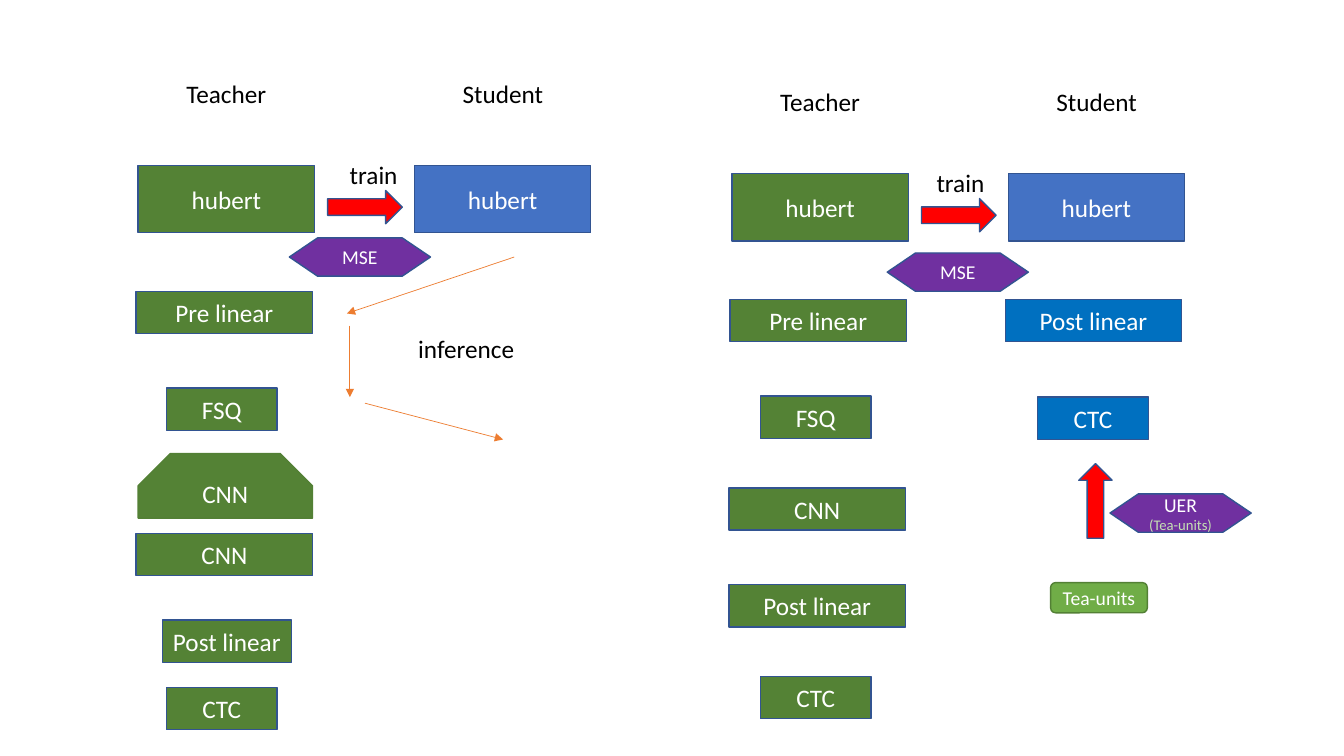
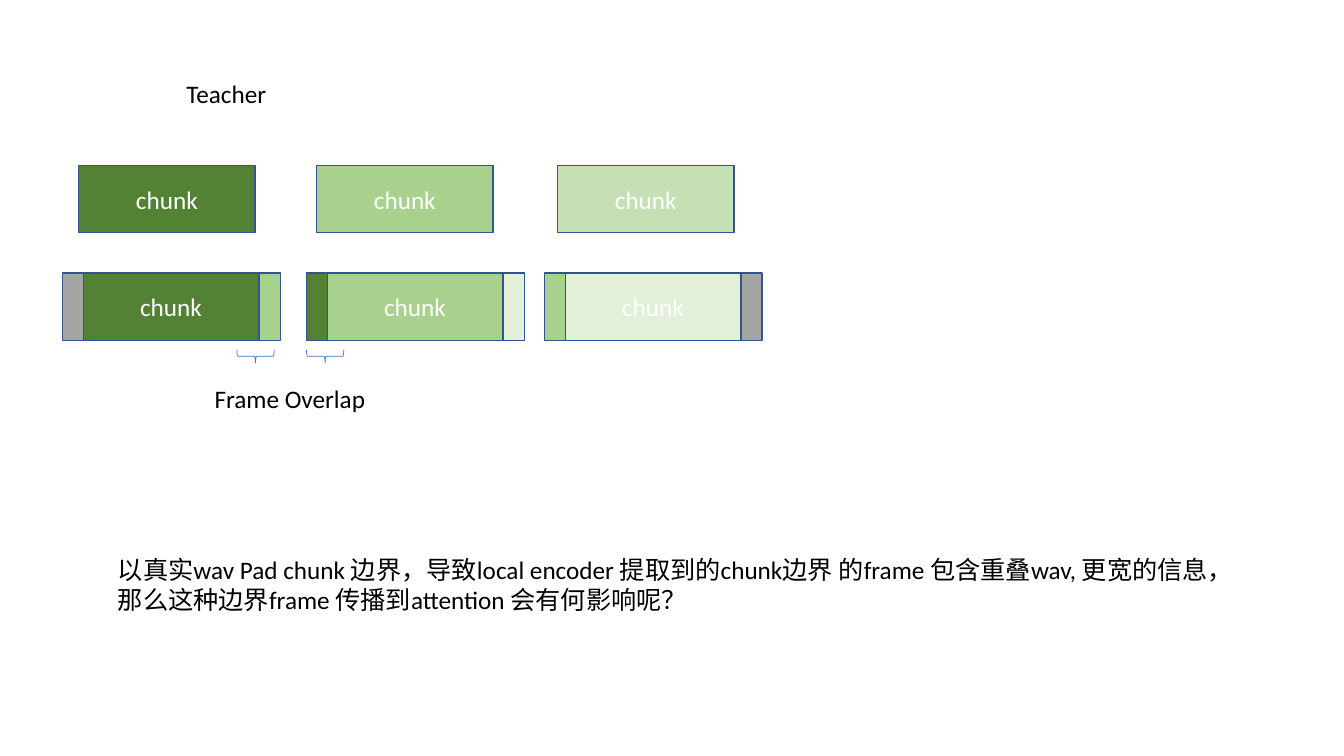
from pptx import Presentation
from pptx.dml.color import RGBColor
from pptx.enum.shapes import MSO_CONNECTOR, MSO_SHAPE
from pptx.enum.text import MSO_ANCHOR, PP_ALIGN
from pptx.oxml.ns import qn
from pptx.oxml.xmlchemy import OxmlElement
from pptx.util import Inches, Pt

RECTANGLE = MSO_SHAPE.RECTANGLE
ROUNDED = MSO_SHAPE.ROUNDED_RECTANGLE
SNIPPED = MSO_SHAPE.SNIP_2_SAME_RECTANGLE
HEXAGON = MSO_SHAPE.FLOWCHART_PREPARATION
RIGHT_ARROW = MSO_SHAPE.RIGHT_ARROW
UP_ARROW = MSO_SHAPE.UP_ARROW
BRACE = MSO_SHAPE.LEFT_BRACE
STRAIGHT = MSO_CONNECTOR.STRAIGHT
CENTER = PP_ALIGN.CENTER
MIDDLE = MSO_ANCHOR.MIDDLE

WHITE = RGBColor(0xFF, 0xFF, 0xFF)
BLACK = RGBColor(0x00, 0x00, 0x00)
DARK_GREEN = RGBColor(0x54, 0x82, 0x35)
GREEN = RGBColor(0x70, 0xAD, 0x47)
GREEN_EDGE = RGBColor(0x53, 0x80, 0x35)
MID_GREEN = RGBColor(0xA9, 0xD1, 0x8E)
LIGHT_GREEN = RGBColor(0xC5, 0xE0, 0xB4)
PALE_GREEN = RGBColor(0xE2, 0xF0, 0xD9)
BLUE = RGBColor(0x44, 0x72, 0xC4)
BRIGHT_BLUE = RGBColor(0x00, 0x70, 0xC0)
BLUE_EDGE = RGBColor(0x32, 0x54, 0x91)
PURPLE = RGBColor(0x70, 0x30, 0xA0)
RED = RGBColor(0xFF, 0x00, 0x00)
ORANGE = RGBColor(0xED, 0x7D, 0x31)
GRAY = RGBColor(0xA5, 0xA5, 0xA5)

FONT = "Calibri"
BODY, SMALL, TINY = 18, 14, 10.5

# Box sizes in inches: width, height
MODEL = (1.75, 0.67)
WIDE = (1.75, 0.42)
NARROW = (1.1, 0.42)
LOSS = (1.4, 0.38)
PAD = (0.21, 0.67)
BRACE_SIZE = (0.13, 0.37)

# Distance from the teacher column to the student column
COLUMN_STEP = 2.74


def style_paragraph(para, text, size, color):
    para.text = text
    para.font.name = FONT
    para.font.size = Pt(size)
    para.font.color.rgb = color


def add_box(page, left, top, size, fill, text="", kind=RECTANGLE,
            edge=BLUE_EDGE, font_size=BODY):
    """Filled shape with centred white text."""
    box = page.shapes.add_shape(
        kind, Inches(left), Inches(top), Inches(size[0]), Inches(size[1]))
    box.shadow.inherit = False
    box.fill.solid()
    box.fill.fore_color.rgb = fill
    box.line.color.rgb = edge
    box.line.width = Pt(1)
    if text:
        box.text_frame.vertical_anchor = MIDDLE
        para = box.text_frame.paragraphs[0]
        para.alignment = CENTER
        style_paragraph(para, text, font_size, WHITE)
    return box


def add_label(page, left, top, width, lines, height=0.4, wrap=False):
    """Black text box, one paragraph for each line."""
    label = page.shapes.add_textbox(
        Inches(left), Inches(top), Inches(width), Inches(height))
    frame = label.text_frame
    frame.word_wrap = wrap
    for index, line in enumerate(lines):
        para = frame.add_paragraph() if index else frame.paragraphs[0]
        style_paragraph(para, line, BODY, BLACK)


def add_arrow(page, start, end):
    """Thin orange line with an arrowhead at its end."""
    arrow = page.shapes.add_connector(
        STRAIGHT, *(Inches(value) for value in (*start, *end)))
    arrow.line.color.rgb = ORANGE
    arrow.line.width = Pt(0.5)
    head = OxmlElement("a:tailEnd")
    head.set("type", "triangle")
    properties = arrow._element.spPr
    properties.find(qn("a:ln")).append(head)
    properties.append(OxmlElement("a:effectLst"))


def add_brace(page, left, top):
    """Brace turned to point down."""
    brace = page.shapes.add_shape(
        BRACE, Inches(left), Inches(top), *(Inches(side) for side in BRACE_SIZE))
    brace.rotation = 270
    brace.shadow.inherit = False
    brace.fill.background()
    brace.line.color.rgb = BLUE
    brace.line.width = Pt(0.5)


def add_loss(page, left, top, text):
    return add_box(page, left, top, LOSS, PURPLE, text, HEXAGON, font_size=SMALL)


def add_training(page, left, top):
    """Teacher and student models with the first teacher layers."""
    for column, (name, fill) in enumerate([("Teacher", DARK_GREEN), ("Student", BLUE)]):
        x = left + column * COLUMN_STEP
        add_label(page, x + 0.38, top - 0.91, 1, [name])
        add_box(page, x, top, MODEL, fill, "hubert")
    add_box(page, left + 1.88, top + 0.25, (0.74, 0.33), RED, kind=RIGHT_ARROW)
    add_box(page, left - 0.02, top + 1.25, WIDE, DARK_GREEN, "Pre linear")
    add_box(page, left + 0.28, top + 2.21, NARROW, DARK_GREEN, "FSQ")


def build_distillation(page):
    # Left: training and inference
    add_training(page, 1.37, 1.64)
    add_label(page, 3.37, 1.53, 0.68, ["train"])
    add_loss(page, 2.87, 2.36, "MSE")
    snipped = add_box(page, 1.37, 4.5, (1.73, 0.64), DARK_GREEN, "CNN",
                      SNIPPED, GREEN_EDGE)
    snipped.adjustments[0] = 0.5
    add_box(page, 1.35, 5.29, WIDE, DARK_GREEN, "CNN")
    add_box(page, 1.61, 6.15, (1.28, 0.42), DARK_GREEN, "Post linear")
    add_box(page, 1.65, 6.82, NARROW, DARK_GREEN, "CTC")
    for start, end in [((5.1, 2.55), (3.44, 3.11)),
                       ((3.47, 3.23), (3.47, 3.94)),
                       ((3.62, 4), (4.99, 4.36))]:
        add_arrow(page, start, end)
    add_label(page, 4.05, 3.26, 1.17, ["inference"])

    # Right: teacher layers
    add_training(page, 7.26, 1.72)
    add_label(page, 9.19, 1.61, 0.68, ["train"])
    add_loss(page, 8.8, 2.51, "MSE")
    add_box(page, 7.23, 4.84, WIDE, DARK_GREEN, "CNN")
    add_box(page, 7.23, 5.8, WIDE, DARK_GREEN, "Post linear")
    add_box(page, 7.54, 6.71, NARROW, DARK_GREEN, "CTC")

    # Right: student layers and their targets
    add_box(page, 9.97, 2.97, WIDE, BRIGHT_BLUE, "Post linear")
    add_box(page, 10.29, 3.94, NARROW, BRIGHT_BLUE, "CTC")
    add_box(page, 10.7, 4.6, (0.33, 0.74), RED, kind=UP_ARROW)
    add_box(page, 10.42, 5.78, (0.96, 0.3), GREEN, "Tea-units", ROUNDED,
            GREEN_EDGE, SMALL)
    loss = add_loss(page, 11.01, 4.9, "UER")
    para = loss.text_frame.add_paragraph()
    para.alignment = CENTER
    style_paragraph(para, "(Tea-units)", TINY, LIGHT_GREEN)


def build_chunks(page):
    add_label(page, 1.75, 0.73, 1, ["Teacher"])

    # Plain chunks
    for left, fill in [(0.78, DARK_GREEN), (3.14, MID_GREEN), (5.53, LIGHT_GREEN)]:
        add_box(page, left, 1.64, MODEL, fill, "chunk")

    # Chunks padded on both sides: left edge, then fills of pad, chunk, pad
    padded_top = 2.71
    for left, before, fill, after in [(0.82, GRAY, DARK_GREEN, MID_GREEN),
                                      (3.24, DARK_GREEN, MID_GREEN, PALE_GREEN),
                                      (5.6, MID_GREEN, PALE_GREEN, GRAY)]:
        add_box(page, left, padded_top, MODEL, fill, "chunk")
        add_box(page, left - 0.2, padded_top, PAD, before)
        add_box(page, left + MODEL[0], padded_top, PAD, after)

    # Overlap marks
    for left in (2.47, 3.16):
        add_brace(page, left, 3.35)
    add_label(page, 2.03, 3.75, 1.87, ["Frame Overlap"], wrap=True)

    # Question
    add_label(page, 1.07, 5.45, 11.38, [
        "以真实wav Pad chunk 边界，导致local encoder 提取到的chunk边界 的frame 包含重叠wav, 更宽的信息，",
        "那么这种边界frame 传播到attention 会有何影响呢？",
    ], height=0.71, wrap=True)


def main():
    deck = Presentation()
    deck.slide_width = Inches(13.33)
    deck.slide_height = Inches(7.5)
    blank = deck.slide_layouts[6]
    for build in (build_distillation, build_chunks):
        build(deck.slides.add_slide(blank))
    deck.save("out.pptx")


if __name__ == "__main__":
    main()
